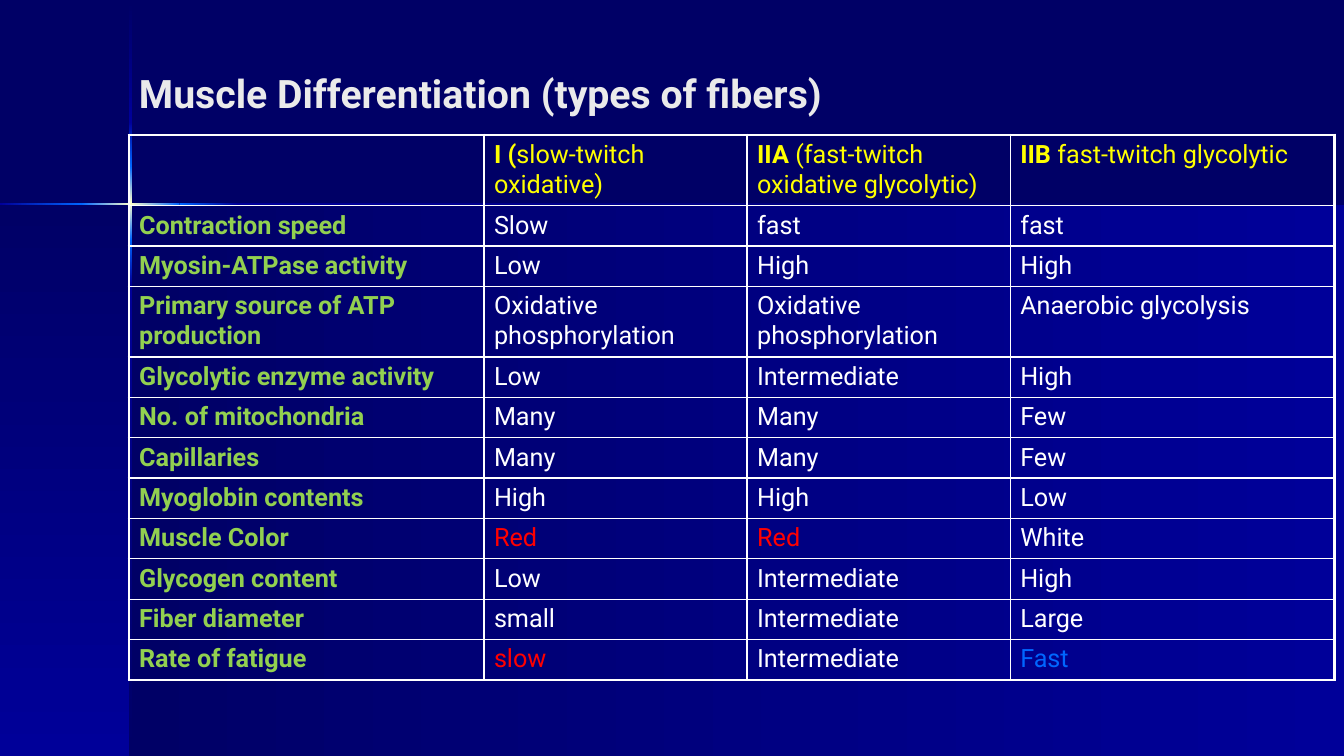
import pptx
import pptx.dml.color
import pptx.enum.shapes
import pptx.enum.text
import pptx.oxml
import pptx.oxml.ns
import pptx.util

Inches = pptx.util.Inches
Pt = pptx.util.Pt

COLORS = {
    "navy": "000066",
    "royal": "000099",
    "azure": "0066FF",
    "cream": "FFFFCC",
    "title": "EAEAEA",
    "yellow": "FFFF00",
    "green": "92D050",
    "white": "FFFFFF",
    "red": "FF0000",
}
FONT = "Roboto"
ACROSS, DOWN = 0, 270
THIN, THICK = 1, 2.25

# left, top, width, height, direction, gradient colours
BACKDROP = [
    (1.29, 2.02, 12.04, 5.48, ACROSS, ["navy", "royal"]),
    (0, 2.02, 1.29, 5.48, DOWN, ["navy", "royal"]),
    (1.28, 0.01, 0.03, 1.2, DOWN, ["navy", "royal"]),
    (1.28, 2.82, 0.03, 4.68, DOWN, ["royal", "navy"]),
    (2.36, 2.01, 10.97, 0.02, ACROSS, ["royal", "navy"]),
    (1.28, 2.38, 0.03, 0.44, DOWN, ["azure", "royal"]),
    (1.28, 1.21, 0.03, 0.44, DOWN, ["royal", "azure"]),
    (1.28, 1.65, 0.03, 0.73, DOWN, ["azure", "cream", "azure"]),
    (0, 2.01, 0.81, 0.02, ACROSS, ["royal", "azure"]),
    (1.78, 2.01, 0.58, 0.02, ACROSS, ["azure", "royal"]),
    (0.81, 2.01, 0.97, 0.02, ACROSS, ["azure", "cream", "azure"]),
]

FIBER_TYPES = [
    ("I (", "slow-twitch oxidative)"),
    ("IIA ", "(fast-twitch oxidative glycolytic)"),
    ("IIB ", "fast-twitch glycolytic"),
]
PROPERTIES = [
    ("Contraction speed", "Slow", "fast", "fast"),
    ("Myosin-ATPase activity", "Low", "High", "High"),
    ("Primary source of ATP production", "Oxidative phosphorylation",
     "Oxidative phosphorylation", "Anaerobic glycolysis"),
    ("Glycolytic enzyme activity", "Low", "Intermediate", "High"),
    ("No. of mitochondria", "Many", "Many", "Few"),
    ("Capillaries", "Many", "Many", "Few"),
    ("Myoglobin contents", "High", "High", "Low"),
    ("Muscle Color", "Red", "Red", "White"),
    ("Glycogen content", "Low", "Intermediate", "High"),
    ("Fiber diameter", "small", "Intermediate", "Large"),
    ("Rate of fatigue", "slow", "Intermediate", "Fast"),
]
VALUE_COLORS = {"Red": "red", "slow": "red", "Fast": "azure"}
COLUMN_WIDTHS = [3.52, 2.61, 2.61, 3.22]
ROW_HEIGHT, TALL_ROW_HEIGHT = 0.39, 0.67
TALL_ROWS = (0, 3)


def rgb(color):
    return pptx.dml.color.RGBColor.from_string(COLORS[color])


def add_run(paragraph, text, color, size=18, bold=False):
    run = paragraph.add_run()
    run.text = text
    for name, value in {"name": FONT, "size": Pt(size), "bold": bold}.items():
        setattr(run.font, name, value)
    run.font.color.rgb = rgb(color)


def add_gradient_band(slide, left, top, width, height, direction, colors):
    """Add a borderless rectangle with evenly spaced gradient stops."""
    band = slide.shapes.add_shape(
        pptx.enum.shapes.MSO_SHAPE.RECTANGLE,
        Inches(left), Inches(top), Inches(width), Inches(height))
    band.shadow.inherit = False
    band.line.fill.background()
    band.fill.gradient()
    band.fill.gradient_angle = direction
    stops = band._element.spPr.find(".//" + pptx.oxml.ns.qn("a:gsLst"))
    for stop in list(stops):
        stops.remove(stop)
    for index, color in enumerate(colors):
        position = 100000 * index // (len(colors) - 1)
        stops.append(pptx.oxml.parse_xml(
            f'<a:gs {pptx.oxml.ns.nsdecls("a")} pos="{position}">'
            f'<a:srgbClr val="{COLORS[color]}"/></a:gs>'))


def add_title(slide, text):
    frame = slide.shapes.add_textbox(
        Inches(1.28), Inches(0.66), Inches(9.41), Inches(0.52)).text_frame
    frame.word_wrap = True
    frame.vertical_anchor = pptx.enum.text.MSO_ANCHOR.MIDDLE
    add_run(frame.paragraphs[0], text, "title", size=28, bold=True)


def set_borders(cell, widths):
    properties = cell._tc.get_or_add_tcPr()
    for side, width in widths.items():
        properties.append(pptx.oxml.parse_xml(
            f'<a:ln{side} {pptx.oxml.ns.nsdecls("a")} w="{Pt(width)}">'
            f'<a:solidFill><a:srgbClr val="{COLORS["white"]}"/></a:solidFill>'
            f'</a:ln{side}>'))


def fill_text(cell, row, column):
    paragraph = cell.text_frame.paragraphs[0]
    if row == 0:
        if column > 0:
            name, description = FIBER_TYPES[column - 1]
            add_run(paragraph, name, "yellow", bold=True)
            add_run(paragraph, description, "yellow")
        return
    text = PROPERTIES[row - 1][column]
    if column == 0:
        add_run(paragraph, text, "green", bold=True)
    else:
        add_run(paragraph, text, VALUE_COLORS.get(text, "white"))


def add_fiber_table(slide):
    heights = [TALL_ROW_HEIGHT if row in TALL_ROWS else ROW_HEIGHT
               for row in range(len(PROPERTIES) + 1)]
    table = slide.shapes.add_table(
        len(heights), len(COLUMN_WIDTHS), Inches(1.28), Inches(1.34),
        Inches(sum(COLUMN_WIDTHS)), Inches(sum(heights))).table
    table.first_row = False
    table.horz_banding = False
    for column, width in zip(table.columns, COLUMN_WIDTHS):
        column.width = Inches(width)
    last_row, last_column = len(heights) - 1, len(COLUMN_WIDTHS) - 1
    for row, height in enumerate(heights):
        table.rows[row].height = Inches(height)
        for column in range(len(COLUMN_WIDTHS)):
            cell = table.cell(row, column)
            fill_text(cell, row, column)
            outer_sides = {
                "L": column == 0,
                "R": column == last_column,
                "T": row == 0,
                "B": row == last_row,
            }
            set_borders(cell, {side: THICK if outer else THIN
                               for side, outer in outer_sides.items()})
            cell.fill.background()


def main():
    deck = pptx.Presentation()
    deck.slide_width = Inches(13.33)
    deck.slide_height = Inches(7.5)
    slide = deck.slides.add_slide(deck.slide_layouts[6])
    slide.background.fill.solid()
    slide.background.fill.fore_color.rgb = rgb("navy")
    for band in BACKDROP:
        add_gradient_band(slide, *band)
    add_title(slide, "Muscle Differentiation (types of fibers)")
    add_fiber_table(slide)
    deck.save("out.pptx")


if __name__ == "__main__":
    main()
